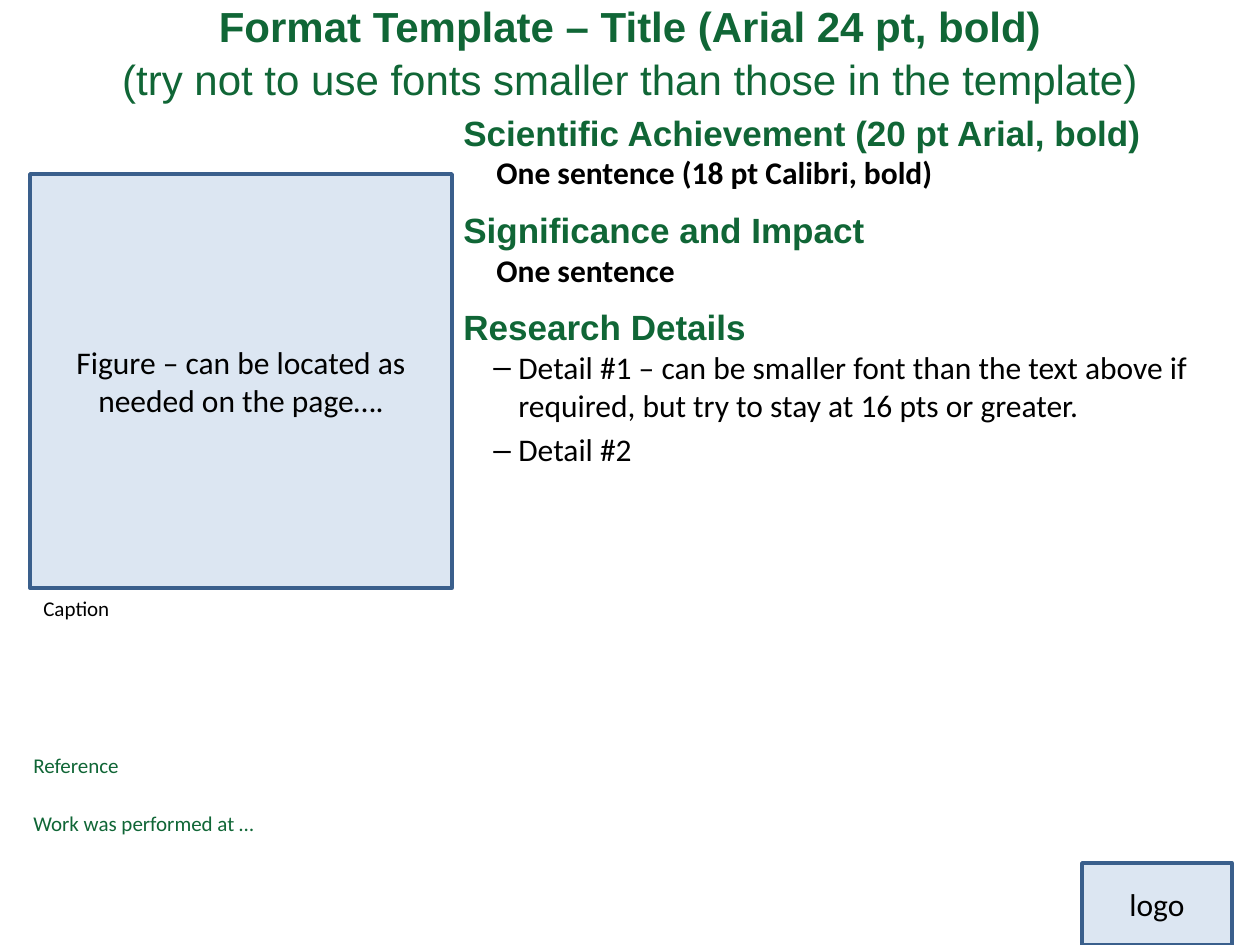
from dataclasses import dataclass

from lxml import etree
from pptx import Presentation
from pptx.dml.color import RGBColor
from pptx.enum.shapes import MSO_SHAPE
from pptx.enum.text import MSO_ANCHOR, MSO_AUTO_SIZE, PP_ALIGN
from pptx.oxml.ns import qn
from pptx.util import Emu, Pt

RECTANGLE = MSO_SHAPE.RECTANGLE
TOP, MIDDLE = MSO_ANCHOR.TOP, MSO_ANCHOR.MIDDLE
NO_AUTOFIT, GROW = MSO_AUTO_SIZE.NONE, MSO_AUTO_SIZE.SHAPE_TO_FIT_TEXT
LEFT, CENTER = PP_ALIGN.LEFT, PP_ALIGN.CENTER
TITLE_ONLY = 5
PX_PER_INCH = 126


@dataclass(frozen=True)
class Theme:
    green: RGBColor = RGBColor.from_string("106636")
    black: RGBColor = RGBColor.from_string("000000")
    panel: RGBColor = RGBColor.from_string("DCE6F2")
    outline: RGBColor = RGBColor.from_string("3A5F8C")
    heading_font: str = "Arial"
    body_font: str = "Calibri"
    title: Pt = Pt(24)
    heading: Pt = Pt(20)
    body: Pt = Pt(18)
    note: Pt = Pt(12)


THEME = Theme()


def px(length):
    return Emu(round(length * 914400 / PX_PER_INCH))


def apply(target, values):
    for name, value in values.items():
        setattr(target, name, value)


def style_run(run, font, size, color, bold=False):
    apply(run.font, {"name": font, "size": size, "bold": bold})
    run.font.color.rgb = color


def add_text(paragraph, text, font, size, color, bold=False):
    run = paragraph.add_run()
    run.text = text
    style_run(run, font, size, color, bold)


def format_frame(frame, anchor=TOP, auto_size=NO_AUTOFIT):
    apply(frame, {"word_wrap": True, "vertical_anchor": anchor, "auto_size": auto_size})


def indent(paragraph, margin, first=0, bullet=None):
    properties = paragraph._p.get_or_add_pPr()
    properties.set("marL", str(px(margin)))
    properties.set("indent", str(px(first)))
    if bullet:
        etree.SubElement(properties, qn("a:buFont")).set("typeface", THEME.heading_font)
        etree.SubElement(properties, qn("a:buChar")).set("char", bullet)


def set_title(slide, headline, advice):
    title = slide.shapes.title
    apply(title, {"left": px(0), "top": px(0), "width": px(1260), "height": px(101)})
    format_frame(title.text_frame, MIDDLE)
    paragraph = title.text_frame.paragraphs[0]
    apply(paragraph, {"alignment": CENTER, "line_spacing": 1.06})
    add_text(paragraph, headline, THEME.heading_font, THEME.title, THEME.green, True)
    paragraph.add_line_break()
    add_text(paragraph, advice, THEME.heading_font, THEME.title, THEME.green)


def add_panel(slide, text, left, top, width, height):
    panel = slide.shapes.add_shape(RECTANGLE, px(left), px(top), px(width), px(height))
    panel.shadow.inherit = False
    panel.fill.solid()
    panel.fill.fore_color.rgb = THEME.panel
    panel.line.color.rgb = THEME.outline
    panel.line.width = Pt(2)
    format_frame(panel.text_frame, MIDDLE)
    paragraph = panel.text_frame.paragraphs[0]
    paragraph.alignment = CENTER
    add_text(paragraph, text, THEME.body_font, THEME.body, THEME.black)


def add_note(slide, text, color, left, top, width):
    note = slide.shapes.add_textbox(px(left), px(top), px(width), px(38))
    format_frame(note.text_frame, auto_size=GROW)
    add_text(note.text_frame.paragraphs[0], text, THEME.body_font, THEME.note, color)


def add_sections(slide, sections, left, top, width, height):
    body = slide.shapes.add_textbox(px(left), px(top), px(width), px(height))
    frame = body.text_frame
    format_frame(frame)
    paragraph = frame.paragraphs[0]
    for number, (heading, sentence, details) in enumerate(sections):
        if number:
            paragraph = frame.add_paragraph()
            paragraph.space_before = Pt(10)
        paragraph.alignment = LEFT
        add_text(paragraph, heading, THEME.heading_font, THEME.heading, THEME.green, True)
        if sentence:
            paragraph = frame.add_paragraph()
            indent(paragraph, 33)
            add_text(paragraph, sentence, THEME.body_font, THEME.body, THEME.black, True)
        for position, detail in enumerate(details):
            paragraph = frame.add_paragraph()
            paragraph.space_before = Pt(4 if position else 0)
            indent(paragraph, 55, -25, "–")
            add_text(paragraph, detail, THEME.body_font, THEME.body, THEME.black)


def main():
    deck = Presentation()
    apply(deck, {"slide_width": px(1260), "slide_height": px(945)})
    slide = deck.slides.add_slide(deck.slide_layouts[TITLE_ONLY])

    set_title(
        slide,
        "Format Template – Title (Arial 24 pt, bold)",
        "(try not to use fonts smaller than those in the template)",
    )
    sections = [
        ("Scientific Achievement (20 pt Arial, bold)", "One sentence (18 pt Calibri, bold)", []),
        ("Significance and Impact", "One sentence", []),
        ("Research Details", None, [
            "Detail #1 – can be smaller font than the text above if required, "
            "but try to stay at 16 pts or greater.",
            "Detail #2",
        ]),
    ]
    add_panel(slide, "logo", 1082, 863, 150, 82)
    add_sections(slide, sections, 451, 105, 809, 724)
    add_note(slide, "Caption", THEME.black, 31, 589, 451)
    add_note(slide, "Work was performed at …", THEME.green, 21, 804, 483)
    add_note(slide, "Reference", THEME.green, 21, 746, 451)
    add_panel(slide, "Figure – can be located as needed on the page….", 30, 174, 422, 414)
    deck.save("out.pptx")


if __name__ == "__main__":
    main()
